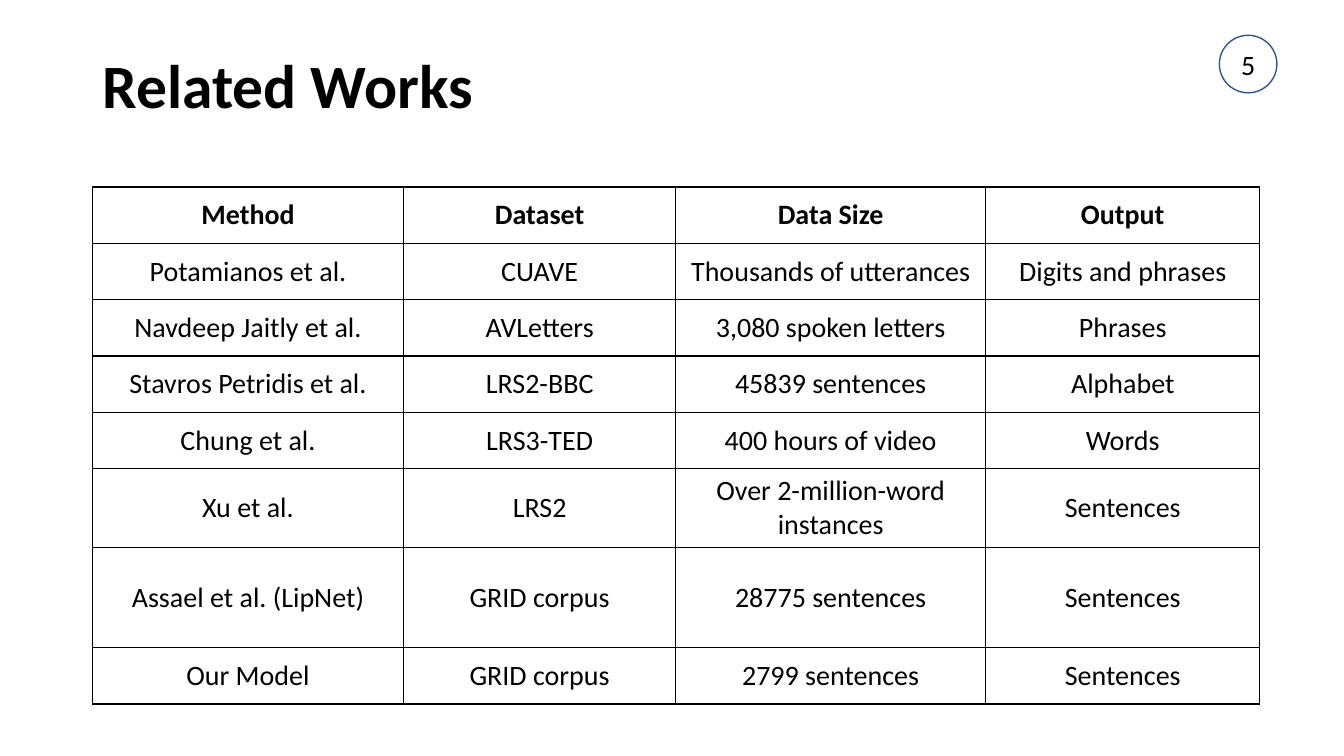
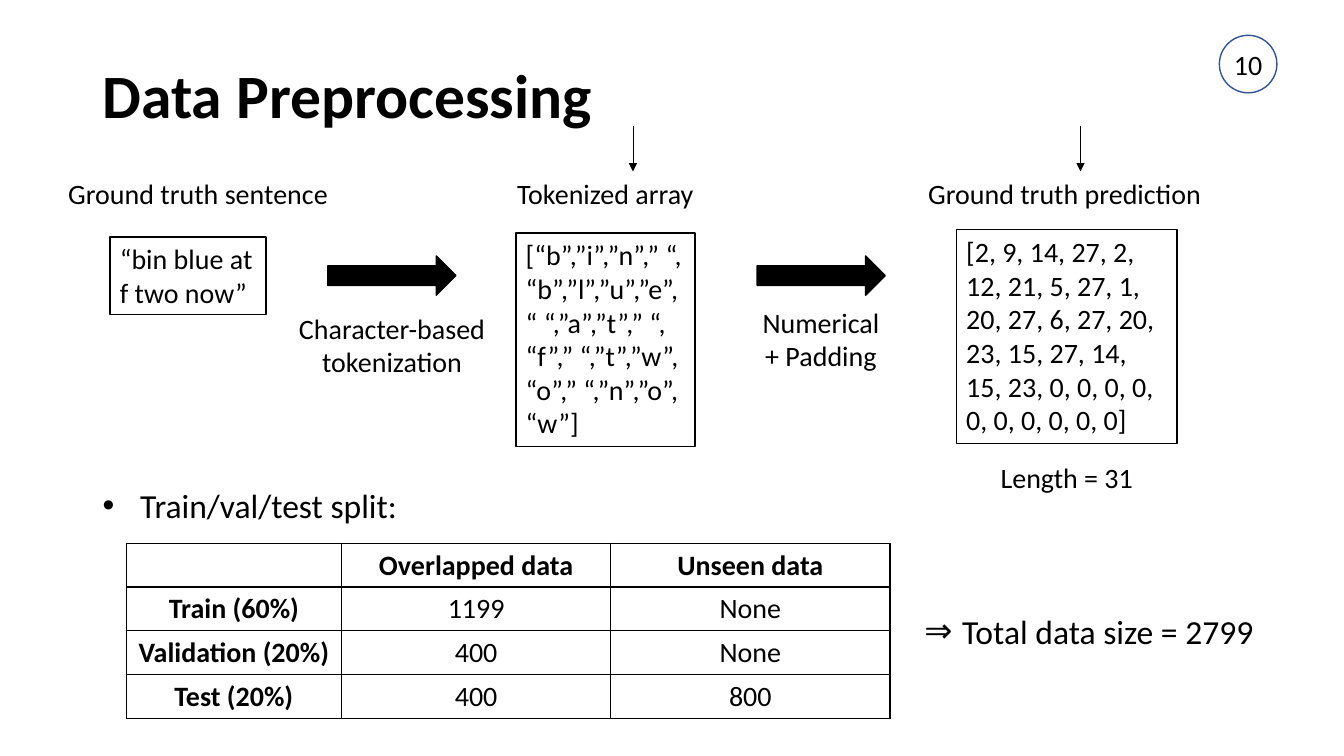
from lxml import etree
from pptx import Presentation
from pptx.dml.color import RGBColor
from pptx.enum.shapes import MSO_CONNECTOR, MSO_SHAPE
from pptx.enum.text import MSO_ANCHOR, MSO_AUTO_SIZE, PP_ALIGN
from pptx.oxml.ns import qn
from pptx.util import Cm, Pt

LEFT, CENTER = PP_ALIGN.LEFT, PP_ALIGN.CENTER
TOP, MIDDLE = MSO_ANCHOR.TOP, MSO_ANCHOR.MIDDLE
FIT, NO_FIT = MSO_AUTO_SIZE.SHAPE_TO_FIT_TEXT, MSO_AUTO_SIZE.NONE
RECT, OVAL, ARROW = MSO_SHAPE.RECTANGLE, MSO_SHAPE.OVAL, MSO_SHAPE.RIGHT_ARROW
STRAIGHT = MSO_CONNECTOR.STRAIGHT
TITLE_ONLY, TWO_LISTS = 5, 3

BLACK, WHITE, BLUE = "000000", "FFFFFF", "325491"
TEXT = {"name": "Calibri", "size": Pt(20), "bold": False}
BOLD = {**TEXT, "bold": True}
LIST = {**TEXT, "size": Pt(24)}
TITLE = {**BOLD, "size": Pt(44)}


def rgb(value):
    return RGBColor.from_string(value)


def sub(parent, tag, **attrs):
    """Append an XML child element and return it."""
    return etree.SubElement(parent, qn(tag), attrs)


def place(shape, box):
    for name, value in zip(("left", "top", "width", "height"), box):
        setattr(shape, name, Cm(value))


class Deck:
    """Holds the shared style and the slide being filled."""

    def __init__(self):
        self.prs = Presentation()
        self.prs.slide_width, self.prs.slide_height = Cm(33.87), Cm(19.05)
        self.s = None

    def slide(self, layout, title, top, number):
        self.s = self.prs.slides.add_slide(self.prs.slide_layouts[layout])
        sp = self.s.shapes.title
        place(sp, (2.33, top, 29.21, 3.68))
        self.put_text(sp.text_frame, title, TITLE, anchor=MIDDLE)
        sp.text_frame.auto_size = NO_FIT
        sp.text_frame.paragraphs[0].line_spacing = 0.9
        badge = self.shape(OVAL, (30.73, 0.89, 1.45, 1.45), line=BLUE)
        self.put_text(badge.text_frame, number, align=CENTER, anchor=MIDDLE, wrap=False)

    def put_text(self, tf, text, style=TEXT, align=LEFT, anchor=TOP, wrap=True):
        tf.text = text
        tf.word_wrap, tf.vertical_anchor = wrap, anchor
        for p in tf.paragraphs:
            p.alignment = align
            for r in p.runs:
                r.font.color.rgb = rgb(BLACK)
                for name, value in style.items():
                    setattr(r.font, name, value)

    def shape(self, kind, box, fill=WHITE, line=BLACK):
        sp = self.s.shapes.add_shape(kind, *map(Cm, box))
        sp.shadow.inherit = False
        sp.fill.solid()
        sp.fill.fore_color.rgb = rgb(fill)
        sp.line.color.rgb = rgb(line)
        sp.line.width = Pt(1)
        return sp

    def framed(self, text, box):
        tf = self.shape(RECT, box).text_frame
        self.put_text(tf, text)
        tf.auto_size = FIT

    def label(self, text, box, align=LEFT):
        tf = self.s.shapes.add_textbox(*map(Cm, box)).text_frame
        self.put_text(tf, text, align=align, wrap=False)
        tf.auto_size = FIT

    def bullet(self, idx, text, mark, font, box):
        sp = self.s.placeholders[idx]
        place(sp, box)
        tf = sp.text_frame
        self.put_text(tf, text, LIST, wrap=False)
        tf.auto_size = FIT
        p = tf.paragraphs[0]
        p.space_before = Pt(0)
        pPr = p._p.get_or_add_pPr()
        pPr.set("marL", str(Cm(0.95)))
        pPr.set("indent", str(Cm(-0.95)))
        sub(pPr, "a:buFont", typeface=font)
        sub(pPr, "a:buChar", char=mark)

    def table(self, rows, left, top, widths, heights, anchor, bold_column=False):
        frame = self.s.shapes.add_table(
            len(rows), len(widths), Cm(left), Cm(top), Cm(sum(widths)), Cm(sum(heights)))
        table = frame.table
        table.first_row = table.horz_banding = False
        for column, width in zip(table.columns, widths):
            column.width = Cm(width)
        for i, (texts, height) in enumerate(zip(rows, heights)):
            table.rows[i].height = Cm(height)
            for j, text in enumerate(texts):
                cell = table.cell(i, j)
                bold = i == 0 or (bold_column and j == 0)
                self.put_text(cell.text_frame, text, BOLD if bold else TEXT, CENTER)
                cell.vertical_anchor = anchor
                self.border(cell)
                cell.fill.solid()
                cell.fill.fore_color.rgb = rgb(WHITE)

    def border(self, cell):
        tcPr = cell._tc.get_or_add_tcPr()
        for side in "LRTB":
            ln = sub(tcPr, f"a:ln{side}", w=str(Pt(1)))
            sub(sub(ln, "a:solidFill"), "a:srgbClr", val=BLACK)

    def down_arrow(self, x, top, bottom):
        c = self.s.shapes.add_connector(STRAIGHT, Cm(x), Cm(top), Cm(x), Cm(bottom))
        c.line.color.rgb = rgb(BLACK)
        c.line.width = Pt(0.5)
        spPr = c._element.spPr
        sub(spPr.find(qn("a:ln")), "a:tailEnd", type="triangle")
        sub(spPr, "a:effectLst")


def related_works(deck):
    deck.slide(TITLE_ONLY, "Related Works", 0.38, "5")
    rows = [
        ("Method", "Dataset", "Data Size", "Output"),
        ("Potamianos et al.", "CUAVE", "Thousands of utterances", "Digits and phrases"),
        ("Navdeep Jaitly et al.", "AVLetters", "3,080 spoken letters", "Phrases"),
        ("Stavros Petridis et al.", "LRS2-BBC", "45839 sentences", "Alphabet"),
        ("Chung et al.", "LRS3-TED", "400 hours of video", "Words"),
        ("Xu et al.", "LRS2", "Over 2-million-word instances", "Sentences"),
        ("Assael et al. (LipNet)", "GRID corpus", "28775 sentences", "Sentences"),
        ("Our Model", "GRID corpus", "2799 sentences", "Sentences"),
    ]
    heights = [1.42] * 5 + [1.97, 2.53, 1.42]
    deck.table(rows, 2.33, 4.71, (7.84, 6.86, 7.81, 6.91), heights, MIDDLE)


def data_preprocessing(deck):
    deck.slide(TWO_LISTS, "Data Preprocessing", 0.64, "10")

    for text, left, width in (
        ("Ground truth sentence", 1.47, 7.11),
        ("Tokenized array", 12.78, 5),
        ("Ground truth prediction", 23.14, 7.47),
    ):
        deck.label(text, (left, 4.32, width, 1.12))
    for x in (15.95, 27.23):
        deck.down_arrow(x, 3.18, 4.32)

    deck.framed("“bin blue at f two now”", (2.77, 5.97, 3.94, 1.96))
    deck.framed("[“b”,”i”,”n”,” “, “b”,”l”,”u”,”e”, “ “,”a”,”t”,” “, "
                "“f”,” “,”t”,”w”, “o”,” “,”n”,”o”, “w”]", (13, 5.87, 4.52, 5.38))
    deck.framed("[2, 9, 14, 27, 2, 12, 21, 5, 27, 1, 20, 27, 6, 27, 20, 23, 15, 27, "
                "14, 15, 23, 0, 0, 0, 0, 0, 0, 0, 0, 0, 0]", (24.1, 5.79, 5.56, 5.38))

    for left in (8.26, 19.08):
        deck.shape(ARROW, (left, 6.45, 3.23, 0.99), fill=BLACK)
    deck.label("Character-based\ntokenization", (7.24, 7.72, 5.28, 1.96), CENTER)
    deck.label("Numerical\n+ Padding", (18.95, 7.57, 3.48, 1.96), CENTER)
    deck.label("Length = 31", (24.46, 11.48, 4.85, 1.12), CENTER)

    deck.bullet(1, "Train/val/test split:", "•", "Arial", (2.33, 12.09, 8, 1.27))
    rows = [
        ("", "Overlapped data", "Unseen data"),
        ("Train (60%)", "1199", "None"),
        ("Validation (20%)", "400", "None"),
        ("Test (20%)", "400", "800"),
    ]
    deck.table(rows, 3.18, 13.69, (5.43, 6.78, 7.04), [1.1] * 4, TOP, bold_column=True)
    deck.bullet(2, "Total data size = 2799", "⇒", "Calibri", (23.04, 15.27, 8.89, 1.27))


def main():
    deck = Deck()
    related_works(deck)
    data_preprocessing(deck)
    deck.prs.save("out.pptx")


if __name__ == "__main__":
    main()
